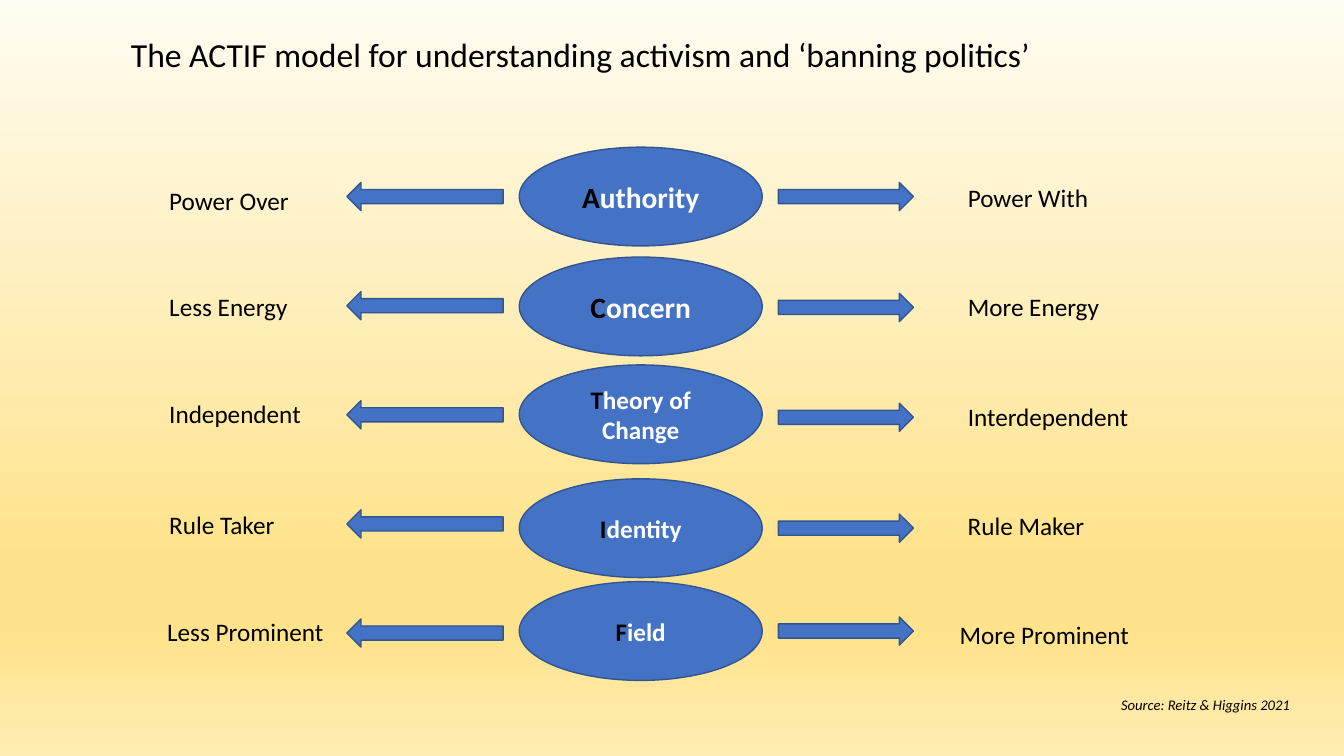
"""Build the ACTIF model slide: five ellipses with arrows to opposing poles."""
from lxml.etree import SubElement
from pptx import Presentation
from pptx.dml.color import RGBColor
from pptx.enum.shapes import MSO_SHAPE
from pptx.enum.text import MSO_ANCHOR, MSO_AUTO_SIZE, PP_ALIGN
from pptx.oxml.ns import qn
from pptx.util import Pt

PX = 9144
FONT = "Calibri"
COLORS = {"text": "000000", "label": "FFFFFF", "fill": "4472C4", "line": "325491"}
BACKGROUND = [(0, "FFFCF2"), (74, "FFE38C"), (83, "FFE38C"), (100, "FFECB2")]

TITLE = ("The ACTIF model for understanding activism and ‘banning politics’", 120, 29, 919, 50, 24)
SOURCE = ("Source: Reitz & Higgins 2021", 1102, 685, 191, 28, 10.5)

# NAME_PLACEHOLDER
DIMENSIONS = [
    {"name": "Authority", "size": 21, "top": 146, "right_arrow": 181,
     "left": ("Power Over", 158, 179, 140), "right": ("Power With", 950, 176, 141)},
    {"name": "Concern", "size": 21, "top": 255, "right_arrow": 291,
     "left": ("Less Energy", 158, 284, 139), "right": ("More Energy", 950, 284, 152)},
    {"name": "Theory of Change", "size": 18, "top": 362, "right_arrow": 400,
     "left": ("Independent", 158, 390, 152), "right": ("Interdependent", 950, 393, 181)},
    {"name": "Identity", "size": 18, "top": 475, "right_arrow": 510,
     "left": ("Rule Taker", 158, 500, 126), "right": ("Rule Maker", 950, 501, 137)},
    {"name": "Field", "size": 18, "top": 577, "right_arrow": 612,
     "left": ("Less Prominent", 156, 607, 177), "right": ("More Prominent", 942, 609, 190)},
]
ELLIPSE_LEFT, ELLIPSE_WIDTH, ELLIPSE_HEIGHT = 515, 241, 98
LEFT_ARROW_TOP, LEFT_ARROW_PITCH = 181, 108.25
LEFT_ARROW_X, LEFT_ARROW_WIDTH = 344, 155
RIGHT_ARROW_X, RIGHT_ARROW_WIDTH = 772, 134
ARROW_HEIGHT, POLE_HEIGHT, POLE_SIZE = 28, 40, 18


def emu(*lengths):
    return [round(length * PX) for length in lengths]


def style_run(run, size, color, bold=False, italic=False):
    run.font.name = FONT
    run.font.size = Pt(size)
    run.font.bold = bold
    run.font.italic = italic
    run.font.color.rgb = RGBColor.from_string(COLORS[color])


def add_text(slide, text, left, top, width, height, size, italic=False):
    frame = slide.shapes.add_textbox(*emu(left, top, width, height)).text_frame
    frame.text = text
    frame.word_wrap = False
    frame.auto_size = MSO_AUTO_SIZE.SHAPE_TO_FIT_TEXT
    style_run(frame.paragraphs[0].runs[0], size, "text", italic=italic)


def add_blue_shape(slide, kind, left, top, width, height):
    shape = slide.shapes.add_shape(kind, *emu(left, top, width, height))
    shape.shadow.inherit = False
    shape.fill.solid()
    shape.fill.fore_color.rgb = RGBColor.from_string(COLORS["fill"])
    shape.line.color.rgb = RGBColor.from_string(COLORS["line"])
    shape.line.width = Pt(1)
    return shape


def add_ellipse(slide, name, size, top):
    ellipse = add_blue_shape(slide, MSO_SHAPE.OVAL, ELLIPSE_LEFT, top, ELLIPSE_WIDTH, ELLIPSE_HEIGHT)
    frame = ellipse.text_frame
    frame.word_wrap = True
    frame.vertical_anchor = MSO_ANCHOR.MIDDLE
    paragraph = frame.paragraphs[0]
    paragraph.alignment = PP_ALIGN.CENTER
    for part, color in ((name[0], "text"), (name[1:], "label")):
        run = paragraph.add_run()
        run.text = part
        style_run(run, size, color, bold=True)


def paint_background(slide):
    fill = slide.background.fill
    fill.gradient()
    fill.gradient_angle = 270
    stops = next(slide.element.iter(qn("a:gsLst")))
    for stop in list(stops):
        stops.remove(stop)
    for percent, color in BACKGROUND:
        stop = SubElement(stops, qn("a:gs"), pos=str(percent * 1000))
        SubElement(stop, qn("a:srgbClr"), val=color)


def main():
    deck = Presentation()
    deck.slide_width, deck.slide_height = emu(1333, 750)
    slide = deck.slides.add_slide(deck.slide_layouts[6])
    paint_background(slide)
    for row, dimension in enumerate(DIMENSIONS):
        add_ellipse(slide, dimension["name"], dimension["size"], dimension["top"])
        add_blue_shape(slide, MSO_SHAPE.LEFT_ARROW, LEFT_ARROW_X,
                       LEFT_ARROW_TOP + row * LEFT_ARROW_PITCH, LEFT_ARROW_WIDTH, ARROW_HEIGHT)
        add_blue_shape(slide, MSO_SHAPE.RIGHT_ARROW, RIGHT_ARROW_X,
                       dimension["right_arrow"], RIGHT_ARROW_WIDTH, ARROW_HEIGHT)
        for side in ("left", "right"):
            add_text(slide, *dimension[side], POLE_HEIGHT, POLE_SIZE)
    add_text(slide, *SOURCE, italic=True)
    add_text(slide, *TITLE)
    deck.save("out.pptx")


if __name__ == "__main__":
    main()
